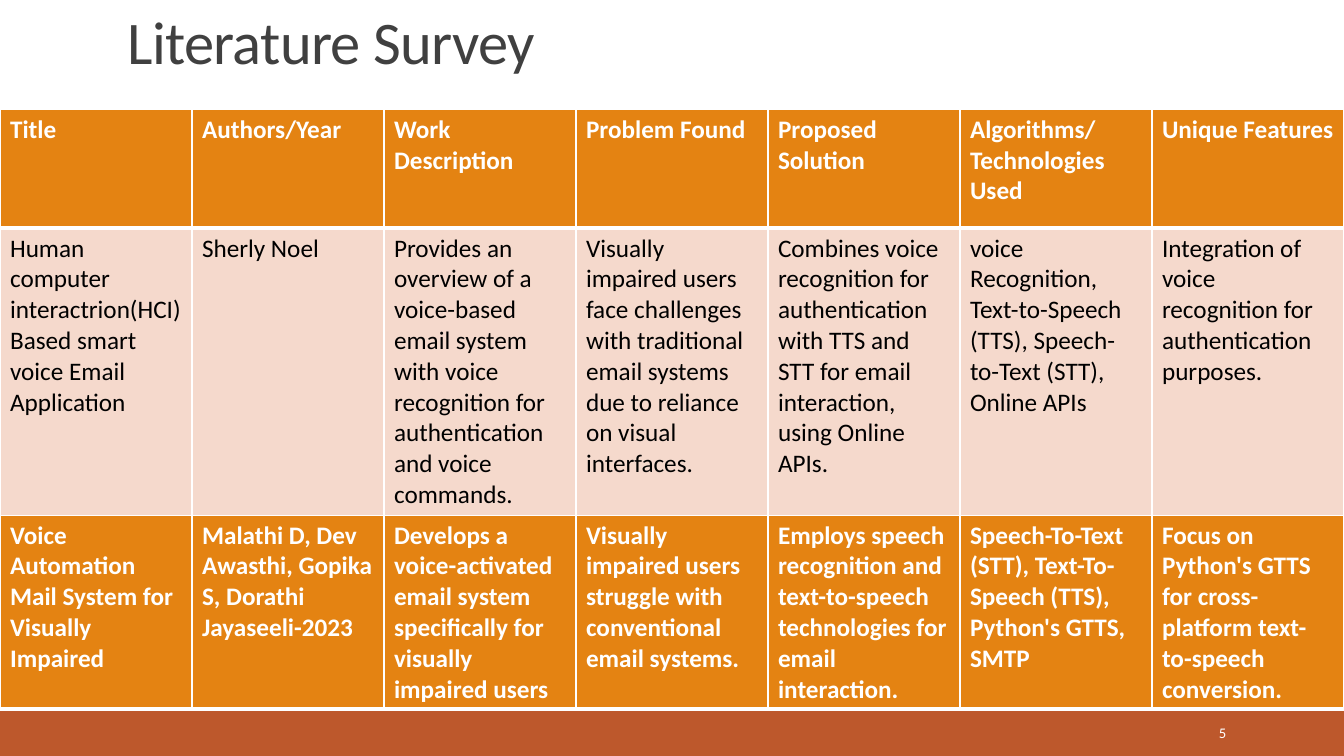
from lxml.etree import SubElement
from pptx import Presentation
from pptx.dml.color import RGBColor
from pptx.enum.shapes import MSO_SHAPE
from pptx.enum.text import MSO_ANCHOR, MSO_AUTO_SIZE, PP_ALIGN
from pptx.oxml.ns import qn
from pptx.util import Pt

WHITE = RGBColor(0xFF, 0xFF, 0xFF)
BLACK = RGBColor(0x00, 0x00, 0x00)
CHARCOAL = RGBColor(0x40, 0x40, 0x40)
ORANGE = RGBColor(0xE4, 0x83, 0x12)
RUST = RGBColor(0xBD, 0x58, 0x2C)
BLUSH = RGBColor(0xF5, 0xD9, 0xCC)

PAGE_WIDTH, PAGE_HEIGHT = 960, 540
THIN, THICK = 1, 3

# Row looks: fill, text format, text colour, top and bottom border widths
HEADING = (ORANGE, {"size": Pt(18), "bold": True}, WHITE, THIN, THICK)
BODY = (BLUSH, {"size": Pt(18), "bold": False}, BLACK, THICK, THIN)

HEADINGS = ["Title", "Authors/Year", "Work Description", "Problem Found",
            "Proposed Solution", "Algorithms/Technologies Used",
            "Unique Features"]
FIRST_PAPER = [
    "Human computer interactrion(HCI)\nBased smart voice Email Application",
    "Sherly Noel",
    "Provides an overview of a voice-based email system with voice "
    "recognition for authentication and voice commands.",
    "Visually impaired users face challenges with traditional email systems "
    "due to reliance on visual interfaces.",
    "Combines voice recognition for authentication with TTS and STT for "
    "email interaction, using Online APIs.",
    "voice Recognition, Text-to-Speech (TTS), Speech-to-Text (STT), "
    "Online APIs",
    "Integration of voice recognition for authentication purposes.",
]
SECOND_PAPER = [
    "Voice Automation Mail System for Visually Impaired",
    "Malathi D, Dev Awasthi, Gopika S, Dorathi Jayaseeli-2023",
    "Develops a voice-activated email system specifically for visually "
    "impaired users",
    "Visually impaired users struggle with conventional email systems.",
    "Employs speech recognition and text-to-speech technologies for email "
    "interaction.",
    "Speech-To-Text (STT), Text-To-Speech (TTS), Python's GTTS, SMTP",
    "Focus on Python's GTTS for cross-platform text-to-speech conversion.",
]


class SlideBuilder:
    """Holds the style and the current slide."""

    def __init__(self, page, font_name="Calibri"):
        self.page = page
        self.font_name = font_name

    def fill_text(self, frame, text, color, font_format,
                  paragraph_format=None):
        frame.text = text
        for para in frame.paragraphs:
            for name, value in (paragraph_format or {}).items():
                setattr(para, name, value)
            for span in para.runs:
                span.font.name = self.font_name
                span.font.color.rgb = color
                for name, value in font_format.items():
                    setattr(span.font, name, value)

    def title(self, text, left, top, width, height):
        box = self.page.shapes.title
        place = {"left": left, "top": top, "width": width, "height": height}
        for name, value in place.items():
            setattr(box, name, Pt(value))
        frame = box.text_frame
        frame.auto_size = MSO_AUTO_SIZE.NONE
        frame.vertical_anchor = MSO_ANCHOR.BOTTOM
        self.fill_text(frame, text, CHARCOAL, {"size": Pt(43.2)},
                       {"alignment": PP_ALIGN.LEFT, "line_spacing": 0.85})
        for span in frame.paragraphs[0].runs:
            span.font._element.set("spc", "-50")

    def band(self, top, height, color):
        band = self.page.shapes.add_shape(
            MSO_SHAPE.RECTANGLE, 0, Pt(top), Pt(PAGE_WIDTH), Pt(height))
        band.shadow.inherit = False
        band.fill.solid()
        band.fill.fore_color.rgb = color
        band.line.fill.background()

    def page_number(self, text, left, top, width, height):
        box = self.page.shapes.add_textbox(
            Pt(left), Pt(top), Pt(width), Pt(height))
        frame = box.text_frame
        frame.word_wrap = True
        frame.vertical_anchor = MSO_ANCHOR.MIDDLE
        self.fill_text(frame, text, WHITE, {"size": Pt(10.5)},
                       {"alignment": PP_ALIGN.RIGHT})

    def borders(self, cell, top, bottom):
        properties = cell._tc.get_or_add_tcPr()
        widths = {"lnL": THIN, "lnR": THIN, "lnT": top, "lnB": bottom}
        for side, width in widths.items():
            line = SubElement(properties, qn(f"a:{side}"), w=str(Pt(width)))
            fill = SubElement(line, qn("a:solidFill"))
            SubElement(fill, qn("a:srgbClr"), val=str(WHITE))

    def table(self, top, rows):
        """Each row is (height, look, texts)."""
        columns = len(rows[0][2])
        total = sum(height for height, _, _ in rows)
        table = self.page.shapes.add_table(
            len(rows), columns, 0, Pt(top), Pt(PAGE_WIDTH), Pt(total)).table
        table.first_row = table.horz_banding = False
        for column in table.columns:
            column.width = Pt(PAGE_WIDTH / columns)
        for row, (height, look, texts) in zip(table.rows, rows):
            row.height = Pt(height)
            fill, font_format, color, top_border, bottom_border = look
            for cell, text in zip(row.cells, texts):
                self.borders(cell, top_border, bottom_border)
                cell.fill.solid()
                cell.fill.fore_color.rgb = fill
                self.fill_text(cell.text_frame, text, color, font_format)


def main():
    deck = Presentation()
    deck.slide_width, deck.slide_height = Pt(PAGE_WIDTH), Pt(PAGE_HEIGHT)
    title_only = deck.slide_layouts[5]
    builder = SlideBuilder(deck.slides.add_slide(title_only))

    # Footer bands
    builder.band(504, 36, RUST)
    builder.band(499, 5, ORANGE)

    # Title
    builder.title("Literature Survey", 84, 13, 792, 45.5)

    # Survey tables and page number
    builder.table(78, [(85, HEADING, HEADINGS), (205, BODY, FIRST_PAPER)])
    builder.page_number("5", 780, 508.5, 103, 29)
    builder.table(368, [(138.5, HEADING, SECOND_PAPER)])

    deck.save("out.pptx")


if __name__ == "__main__":
    main()
